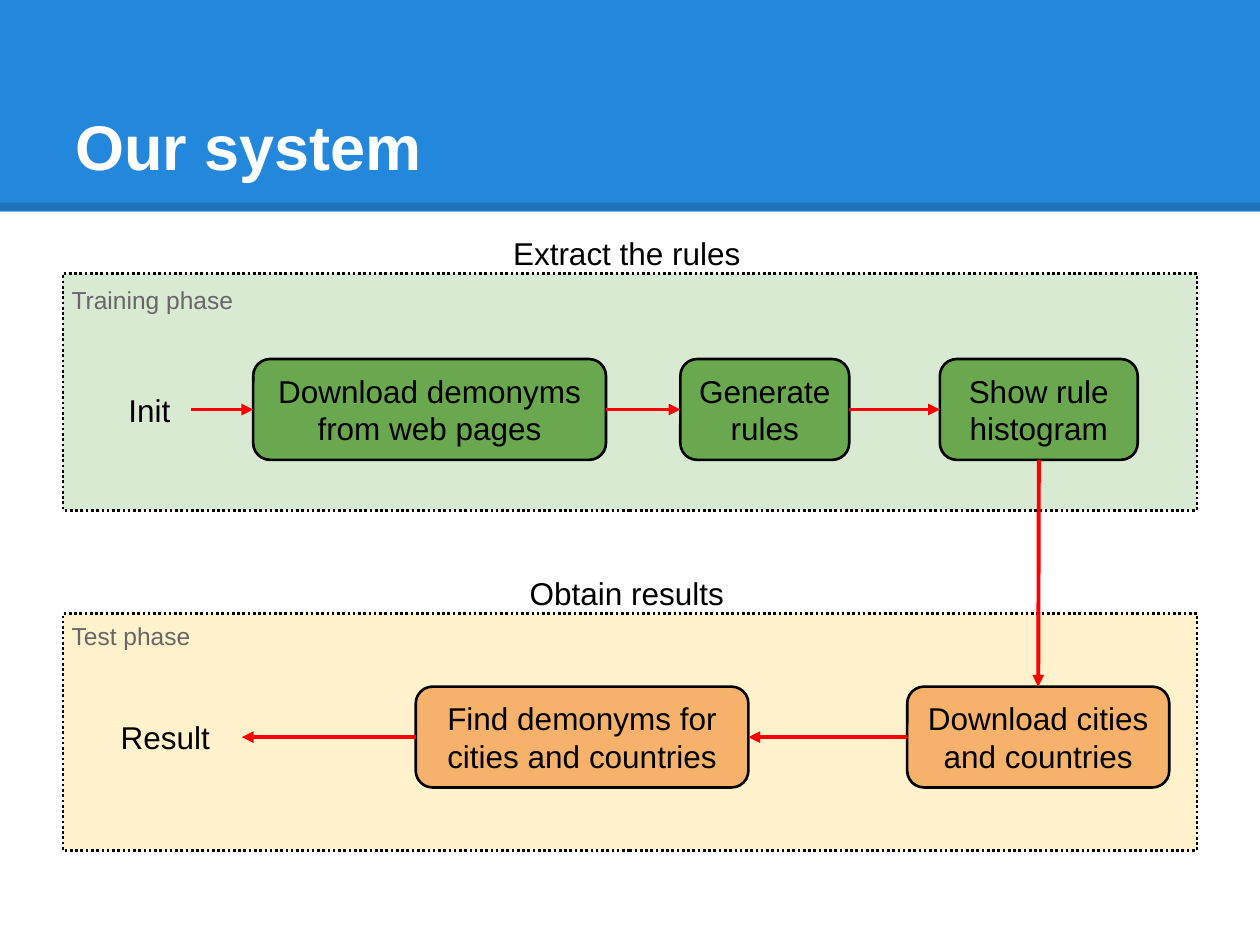
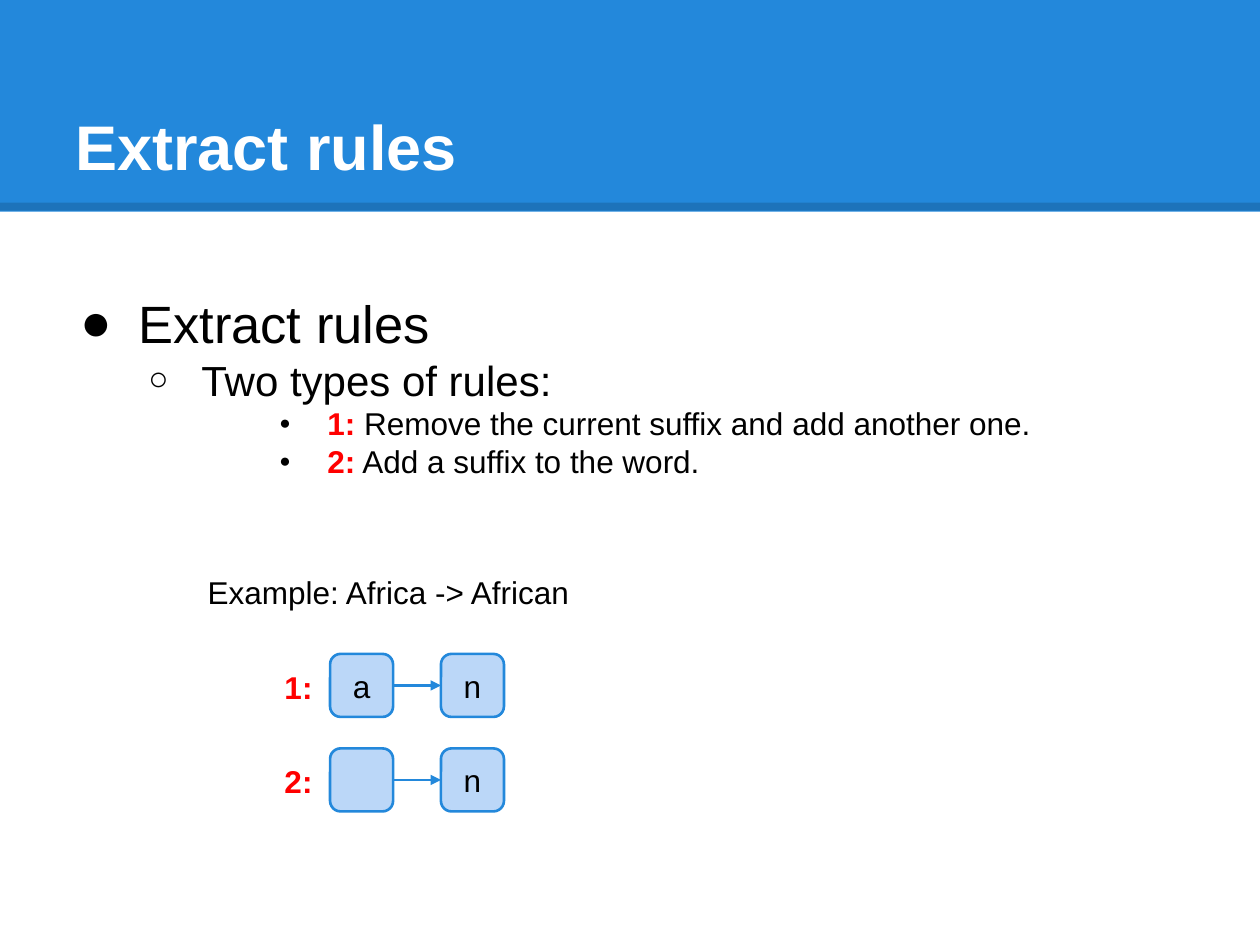
from dataclasses import dataclass

from lxml.etree import SubElement as Sub
from pptx import Presentation
from pptx.dml.color import RGBColor as RGB
from pptx.enum.dml import MSO_LINE as Dash
from pptx.enum.shapes import MSO_CONNECTOR as Conn, MSO_SHAPE as Kind
from pptx.enum.text import MSO_ANCHOR as Anchor, PP_ALIGN as Align
from pptx.oxml.ns import qn
from pptx.util import Inches, Pt


@dataclass(frozen=True)
class Theme:
    font: str = "Arial"
    blue: str = "2388DB"
    pale: str = "BBD7F8"
    black: str = "000000"
    white: str = "FFFFFF"
    gray: str = "666666"
    red: str = "FF0000"
    mint: str = "D9EAD3"
    green: str = "6AA84F"
    cream: str = "FFF2CC"
    orange: str = "F6B26B"
    title: int = 36
    lead: int = 30
    sub: int = 24
    text: int = 18
    note: int = 14


THEME = Theme()
TOP, LEFT, BOTTOM, RIGHT = range(4)


# Text
def write(para, text, *, size=THEME.text, tint=THEME.black, bold=False):
    run = para.add_run()
    run.text = text
    font = run.font
    font.name, font.size, font.bold = THEME.font, Pt(size), bold
    font.color.rgb = RGB.from_string(tint)


def frame(shape, anchor=Anchor.TOP):
    body = shape.text_frame
    body.word_wrap = True
    body.vertical_anchor = anchor
    body.margin_left = body.margin_right = Inches(0.1)
    body.margin_top = body.margin_bottom = Inches(0.1)
    return body


def label(slide, area, text, align=Align.LEFT, anchor=Anchor.TOP, **style):
    box = slide.shapes.add_textbox(*map(Inches, area))
    para = frame(box, anchor).paragraphs[0]
    para.alignment = align
    write(para, text, **style)


def bullet(para, mark, level, left, hang, scale):
    para.level = level
    props = para._p.get_or_add_pPr()
    props.set("marL", str(Inches(left)))
    props.set("indent", str(-Inches(hang)))
    Sub(Sub(props, qn("a:buClr")), qn("a:srgbClr"), val=THEME.black)
    Sub(props, qn("a:buSzPct"), val=str(scale * 1000))
    Sub(props, qn("a:buFont"), typeface=THEME.font)
    Sub(props, qn("a:buChar"), char=mark)


# Shapes and arrows
def block(slide, area, fill, edge=None, kind=Kind.RECTANGLE, dash=None):
    shape = slide.shapes.add_shape(kind, *map(Inches, area))
    shape.shadow.inherit = False
    shape.fill.solid()
    shape.fill.fore_color.rgb = RGB.from_string(fill)
    if edge:
        shape.line.color.rgb = RGB.from_string(edge)
        shape.line.width = Pt(1.5)
        shape.line.dash_style = dash
    else:
        shape.line.fill.background()
    return shape


def node(slide, area, text, fill, edge=THEME.black):
    shape = block(slide, area, fill, edge, Kind.ROUNDED_RECTANGLE)
    if text:
        para = frame(shape, Anchor.MIDDLE).paragraphs[0]
        para.alignment = Align.CENTER
        write(para, text)
    return shape


def line(slide, start, end, tint, width):
    link = slide.shapes.add_connector(Conn.STRAIGHT, *map(Inches, start + end))
    link.line.color.rgb = RGB.from_string(tint)
    link.line.width = Pt(width)
    Sub(link._element.spPr, qn("a:effectLst"))
    return link


def arrow(slide, start, end, tint=THEME.red, width=2.25):
    """Each end is a point (x, y) or a join (shape, side)."""
    ends = [(0, 0) if hasattr(e[0], "shape_id") else e for e in (start, end)]
    link = line(slide, *ends, tint, width)
    if ends[0] != start:
        link.begin_connect(*start)
    if ends[1] != end:
        link.end_connect(*end)
    Sub(link.line._get_or_add_ln(), qn("a:tailEnd"), type="triangle")


# Shared slide head
def page(deck, title):
    slide = deck.slides.add_slide(deck.slide_layouts[6])
    block(slide, (0, 0, 10, 1.68), THEME.blue)
    rule = line(slide, (0, 1.64), (10, 1.64), THEME.black, 4.5)
    tone = rule.line._get_or_add_ln().find(".//" + qn("a:srgbClr"))
    Sub(tone, qn("a:alpha"), val="15000")
    label(slide, (0.5, 0.3, 9, 1.25), title, anchor=Anchor.BOTTOM,
          size=THEME.title, tint=THEME.white, bold=True)
    return slide


def phase(slide, top, fill, head, name, drop):
    block(slide, (0.5, top, 9, 1.88), fill, THEME.black, dash=Dash.ROUND_DOT)
    label(slide, (0.5, top - 0.41, 8.95, 0.5), head, Align.CENTER)
    label(slide, (0.47, top + drop, 1.57, 0.5), name,
          size=THEME.note, tint=THEME.gray)


def steps(slide, top, fill, items):
    return [node(slide, (left, top, width, 0.8), text, fill)
            for left, width, text in items]


# Slides
def system(deck):
    slide = page(deck, "Our system")
    phase(slide, 2.17, THEME.mint, "Extract the rules", "Training phase", -0.01)
    phase(slide, 4.87, THEME.cream, "Obtain results", "Test phase", -0.04)
    label(slide, (0.92, 3, 0.61, 0.5), "Init")
    label(slide, (0.86, 5.6, 1.07, 0.5), "Result")
    train = steps(slide, 2.85, THEME.green, [
        (2.01, 2.8, "Download demonyms from web pages"),
        (5.4, 1.34, "Generate rules"),
        (7.46, 1.57, "Show rule histogram")])
    test = steps(slide, 5.45, THEME.orange, [
        (7.2, 2.08, "Download cities and countries"),
        (3.3, 2.64, "Find demonyms for cities and countries")])

    arrow(slide, (1.52, 3.25), (train[0], LEFT))
    for prev, after in zip(train, train[1:]):
        arrow(slide, (prev, RIGHT), (after, LEFT))
    arrow(slide, (train[-1], BOTTOM), (test[0], TOP))
    arrow(slide, (test[0], LEFT), (test[1], RIGHT))
    arrow(slide, (test[1], LEFT), (1.92, 5.85))


def rules(deck):
    slide = page(deck, "Extract rules")
    red = dict(tint=THEME.red, bold=True)

    # Outline
    deep = ("●", 3, 2, 0.38, 60)
    rows = [
        (("●", 0, 0.5, 0.46, 100), [("Extract rules", dict(size=THEME.lead))]),
        (("○", 1, 1, 0.42, 80), [("Two types of rules:", dict(size=THEME.sub))]),
        (deep, [("1:", red),
                (" Remove the current suffix and add another one.", {})]),
        (deep, [("2:", red), (" Add a suffix to the word.", {})])]
    box = slide.shapes.add_textbox(*map(Inches, (0.5, 2.21, 9.23, 4.97)))
    body = frame(box)
    for i, (mark, runs) in enumerate(rows):
        para = body.add_paragraph() if i else body.paragraphs[0]
        bullet(para, *mark)
        for text, style in runs:
            write(para, text, **style)

    # Example
    label(slide, (1.55, 4.45, 4, 0.5), "Example: Africa -> African")
    for i, (old, new) in enumerate([("a", "n"), ("", "n")]):
        top = 5.19 + 0.75 * i
        label(slide, (2.16, top + 0.01, 0.5, 0.4), f"{i + 1}:", **red)
        pair = [node(slide, (left, top, 0.5, 0.5), text, THEME.pale, THEME.blue)
                for left, text in ((2.62, old), (3.5, new))]
        arrow(slide, (pair[0], RIGHT), (pair[1], LEFT), THEME.blue, 1.5)


def main():
    deck = Presentation()
    deck.slide_width, deck.slide_height = Inches(10), Inches(7.5)
    system(deck)
    rules(deck)
    deck.save("out.pptx")


if __name__ == "__main__":
    main()
